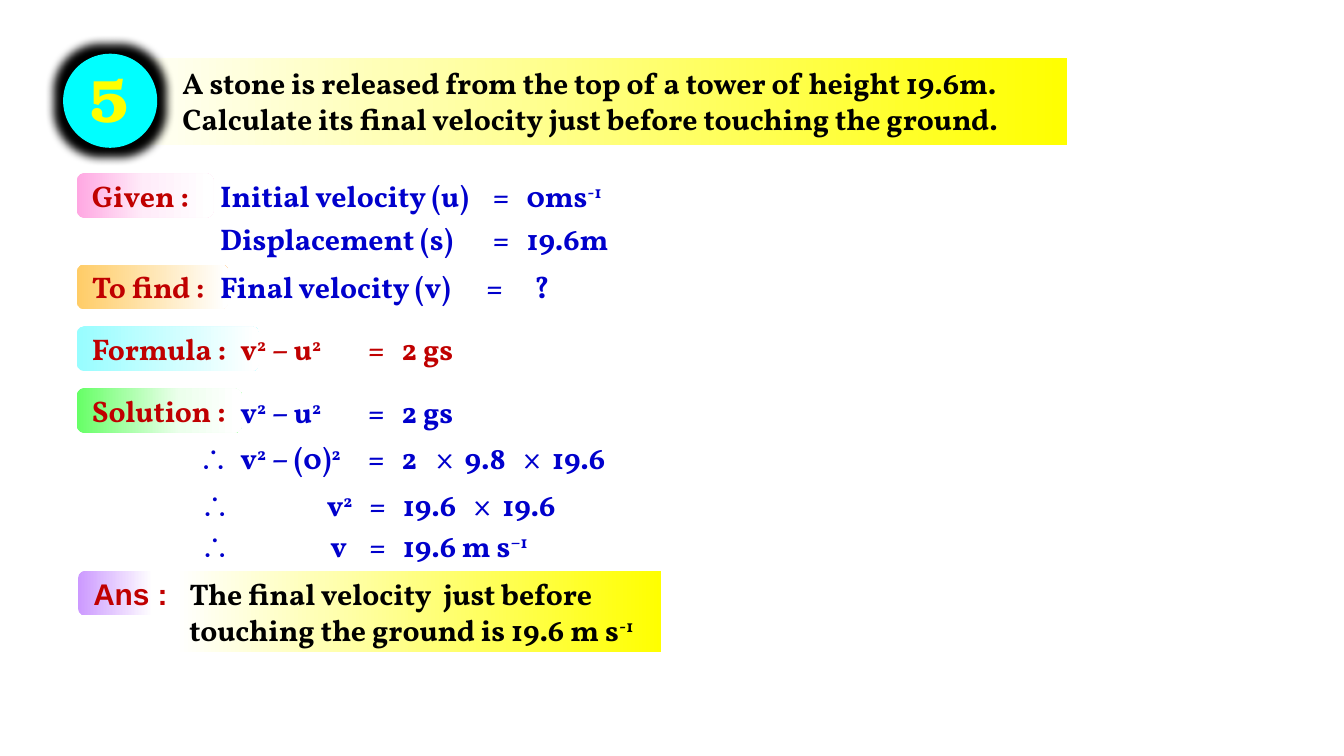
from lxml import etree
from pptx import Presentation
from pptx.dml.color import RGBColor
from pptx.enum import shapes, text
from pptx.oxml import ns
from pptx.util import Inches, Pt

BODY, SIGN, NUMERAL = "Vollkorn", "Arial", "TeX Gyre Bonum"
BLUE, RED, BLACK, YELLOW = "0000CC", "C00000", "000000", "FFFF00"
LEFT, RIGHT, CENTER = text.PP_ALIGN.LEFT, text.PP_ALIGN.RIGHT, text.PP_ALIGN.CENTER
BANNER = [(0, YELLOW), (70, "FFFFB4"), (100, "FFFFFF")]
ROW_HEIGHT, LABEL_HEIGHT = 0.37, 0.33
EQUALS_TABS, TIMES_TABS, UNKNOWN_TABS = [0.25], [0.21], [1.98, 2.33]

QUESTION = ["A stone is released from the top of a tower of height 19.6m.",
            "Calculate its final velocity just before touching the ground."]
ANSWER = ["The final velocity  just before touching the ground is 19.6 m s^-1"]

LABELS = [
    ("Given :", 0.57, 1.29, 1.02, BODY, [(0, "FFA7E2"), (49, "FFECF9"), (98, "FFFFFF")]),
    ("To find :", 0.57, 1.97, 1.13, BODY, [(0, "FFCC66"), (98, "FFFFFF")]),
    ("Formula :", 0.57, 2.43, 1.36, BODY, [(0, "97FDFF"), (98, "FFFFFF")]),
    ("Solution :", 0.57, 2.89, 1.23, BODY, [(0, "66FF66"), (62, "ECFFEC"), (98, "FFFFFF")]),
    ("Ans :", 0.58, 4.25, 1.01, SIGN, [(0, "CC99FF"), (55, "FFFFFF")]),
]

ROWS = [
    (1.27, BLUE, [(1.54, 2.21, "Initial velocity (u)", LEFT), (3.57, 1.04, "=\t0ms^-1", None)]),
    (1.59, BLUE, [(1.54, 1.98, "Displacement (s)", LEFT), (3.57, 1.1, "=\t19.6m", None)]),
    (1.95, BLUE, [(1.54, 3.1, "Final velocity (v)\t=\t?", LEFT)]),
    (2.41, RED, [(1.69, 1.02, "v^2^ – u^2", LEFT), (2.64, 0.9, "=\t2 gs", None)]),
    (2.88, BLUE, [(1.69, 1.02, "v^2^ – u^2", LEFT), (2.64, 0.9, "=\t2 gs", None)]),
    (3.22, BLUE, [(1.38, 0.4, "∴", None), (1.69, 1.02, "v^2^ – (0)^2", LEFT),
                  (2.64, 0.62, "=\t2", None), (3.15, 0.73, "×\t9.8", None),
                  (3.8, 0.84, "×\t19.6", None)]),
    (3.57, BLUE, [(1.39, 0.4, "∴", None), (1.7, 1.02, "v^2", RIGHT),
                  (2.65, 0.9, "=\t19.6", None), (3.43, 0.84, "×\t19.6", None)]),
    (3.88, BLUE, [(1.39, 0.4, "∴", None), (1.66, 1.02, "v", RIGHT),
                  (2.65, 1.46, "=\t19.6 m s^–1", None)]),
]


def color(value):
    return RGBColor.from_string(value)


def child(parent, tag, **attributes):
    return etree.SubElement(parent, ns.qn(tag), attributes)


def write(shape, lines, ink, font=BODY, size=16, align=LEFT, tabs=()):
    frame = shape.text_frame
    frame.text = "\n".join(lines)
    for para, line in zip(frame.paragraphs, lines):
        para.alignment = align
        if tabs:
            stops = child(para._p.get_or_add_pPr(), "a:tabLst")
            for stop in tabs:
                child(stops, "a:tab", pos=str(Inches(stop)), algn="l")
        pieces = line.split("^")
        para.runs[0].text = pieces[0]
        for piece in pieces[1:]:
            para.add_run().text = piece
        for index, span in enumerate(para.runs):
            span.font.name, span.font.size, span.font.bold = font, Pt(size), True
            span.font.color.rgb = color(ink)
            if index % 2:
                span._r.get_or_add_rPr().set("baseline", "30000")


def add_panel(holder, kind, place, stops=None, angle=0):
    panel = holder.add_shape(kind, *map(Inches, place))
    panel.shadow.inherit = False
    panel.line.fill.background()
    panel.text_frame.word_wrap = True
    panel.text_frame.vertical_anchor = text.MSO_ANCHOR.MIDDLE
    if stops:
        panel.fill.gradient()
        panel.fill.gradient_angle = angle
        stop_list = panel._element.spPr.find(".//" + ns.qn("a:gsLst"))
        for old in list(stop_list):
            stop_list.remove(old)
        for position, value in stops:
            stop = child(stop_list, "a:gs", pos=str(position * 1000))
            child(stop, "a:srgbClr", val=value)
    return panel


def add_text(holder, place, wrap=True, grow=True):
    box = holder.add_textbox(*map(Inches, place))
    box.text_frame.word_wrap = wrap
    if grow:
        box.text_frame.auto_size = text.MSO_AUTO_SIZE.SHAPE_TO_FIT_TEXT
    return box


def add_question(page):
    holder = page.shapes.add_group_shape().shapes
    banner = add_panel(holder, shapes.MSO_SHAPE.ROUNDED_RECTANGLE,
                       (0.8, 0.43, 7.14, 0.65), BANNER, 180)
    banner.adjustments[0] = 0
    box = add_text(holder, (1.26, 0.44, 6.64, 0.62), grow=False)
    box.text_frame.vertical_anchor = text.MSO_ANCHOR.MIDDLE
    write(box, QUESTION, BLACK)


def add_badge(page):
    holder = page.shapes.add_group_shape().shapes
    disc = add_panel(holder, shapes.MSO_SHAPE.OVAL, (0.47, 0.4, 0.7, 0.7))
    disc.fill.solid()
    disc.fill.fore_color.rgb = color("00FFFF")
    effects = disc._element.spPr.find(ns.qn("a:effectLst"))
    glow = child(effects, "a:glow", rad=str(Pt(10)))
    child(glow, "a:srgbClr", val=BLACK)
    number = add_text(holder, (0.56, 0.42, 0.5, 0.64), wrap=False)
    write(number, ["5"], YELLOW, NUMERAL, 32, CENTER)
    props = number.text_frame.paragraphs[0].runs[0]._r.get_or_add_rPr()
    outline = child(props, "a:ln", w=str(Pt(1.5)))
    child(child(outline, "a:solidFill"), "a:srgbClr", val=BLACK)
    props.insert(0, outline)


def tabs_for(line):
    if line.count("\t") == 2:
        return UNKNOWN_TABS
    return {"=": EQUALS_TABS, "×": TIMES_TABS}.get(line[0], ())


def main():
    deck = Presentation()
    deck.slide_width = Inches(10)
    deck.slide_height = deck.slide_width * 9 // 16
    page = deck.slides.add_slide(deck.slide_layouts[6])
    add_question(page)
    add_badge(page)
    for label, left, top, width, font, stops in LABELS:
        panel = add_panel(page.shapes, shapes.MSO_SHAPE.ROUNDED_RECTANGLE,
                          (left, top, width, LABEL_HEIGHT), stops)
        write(panel, [label], RED, font)
    for top, ink, cells in ROWS:
        for left, width, line, align in cells:
            box = add_text(page.shapes, (left, top, width, ROW_HEIGHT), wrap=align is not None)
            font = SIGN if line == "∴" else BODY
            write(box, [line], ink, font, align=align or LEFT, tabs=tabs_for(line))
    answer = add_panel(page.shapes, shapes.MSO_SHAPE.RECTANGLE,
                       (1.31, 4.25, 3.61, 0.6), BANNER, 180)
    write(answer, ANSWER, BLACK)
    deck.save("out.pptx")


if __name__ == "__main__":
    main()
